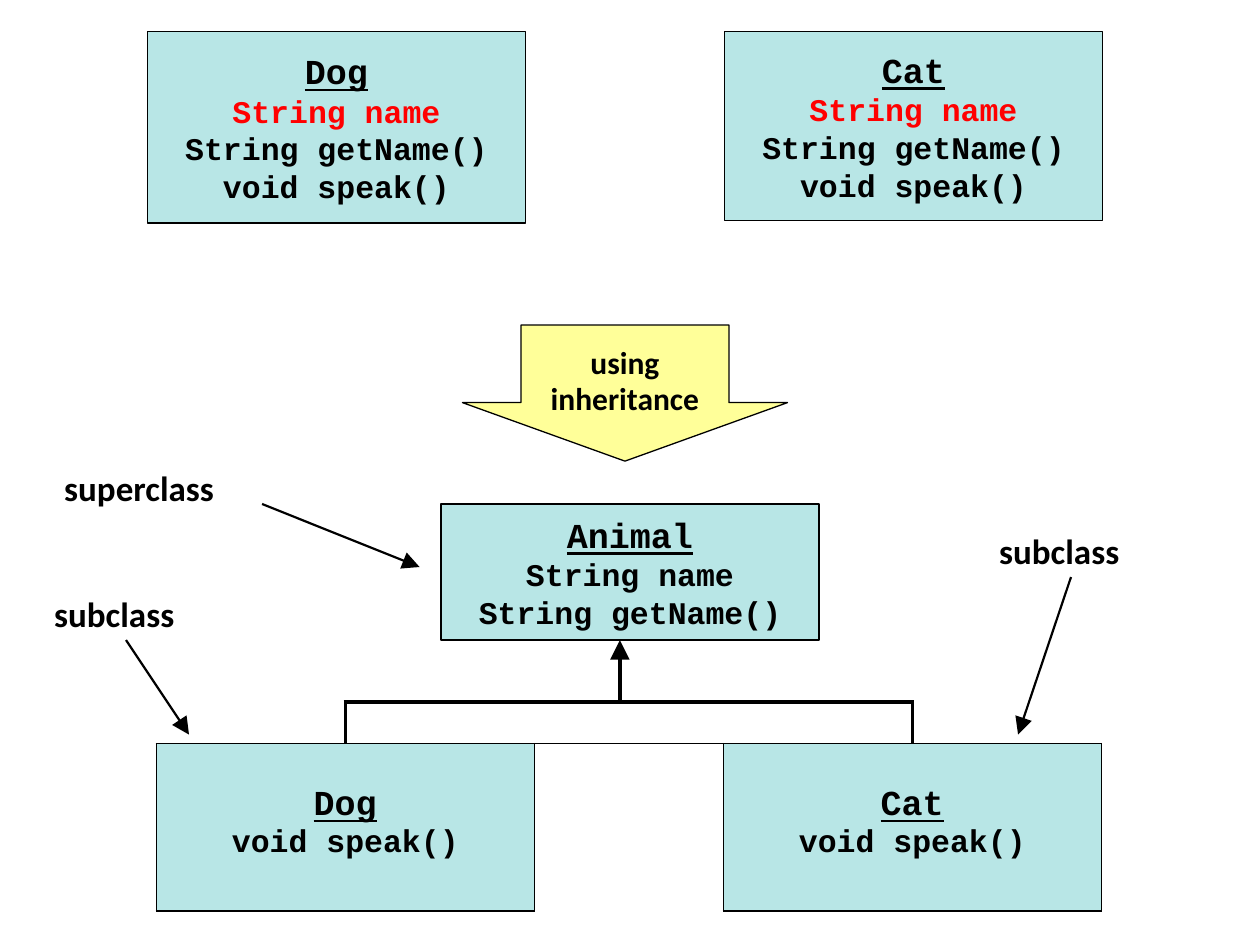
from lxml.etree import SubElement as Sub
from pptx import Presentation
from pptx.dml.color import RGBColor as RGB
from pptx.enum.shapes import MSO_CONNECTOR as CONN, MSO_SHAPE as SHAPE
from pptx.enum.text import MSO_ANCHOR as ANCHOR, PP_ALIGN as ALIGN
from pptx.oxml.ns import qn
from pptx.util import Inches, Pt

theme = {
    "ink": RGB(0, 0, 0),
    "alert": RGB(0xFF, 0, 0),
    "box": RGB(0xB8, 0xE6, 0xE6),
    "block": RGB(0xFF, 0xFF, 0x99),
    "thin": 0.75,
    "thick": 2.25,
    "head": {"name": "Courier New", "size": Pt(20), "bold": True, "underline": True},
    "code": {"name": "Courier New", "size": Pt(18), "bold": True, "underline": False},
    "label": {"name": "Calibri", "size": Pt(20), "bold": True},
    "note": {"name": "Calibri", "size": Pt(18), "bold": True},
}


def write(frame, lines, styles, align=ALIGN.CENTER, lead=None, red=None):
    for i, line in enumerate(lines):
        para = frame.paragraphs[0] if i == 0 else frame.add_paragraph()
        para.alignment = align
        para.line_spacing = lead
        run = para.add_run()
        run.text = line
        for key, value in theme[styles[min(i, len(styles) - 1)]].items():
            setattr(run.font, key, value)
        run.font.color.rgb = theme["alert"] if line == red else theme["ink"]


def place(shape, fill, top, anchor):
    shape.shadow.inherit = False
    shape.fill.solid()
    shape.fill.fore_color.rgb = theme[fill]
    shape.line.color.rgb = theme["ink"]
    shape.line.width = Pt(theme["thin"])
    form = {"margin_left": 0, "margin_right": 0, "margin_top": Inches(top),
            "margin_bottom": 0, "word_wrap": True, "vertical_anchor": anchor}
    for key, value in form.items():
        setattr(shape.text_frame, key, value)


deck = Presentation()
deck.slide_width, deck.slide_height = Inches(10), Inches(7.5)
slide = deck.slides.add_slide(deck.slide_layouts[6])
shapes = slide.shapes

name, getter, speak = "String name", "String getName()", "void speak()"
for left, top, high, lines, red in [
    (1.17, 0.25, 1.52, ["Dog", name, getter, speak], name),
    (5.75, 0.25, 1.5, ["Cat", name, getter, speak], name),
    (3.5, 4, 1.08, ["Animal", name, getter], None),
]:
    box = shapes.add_shape(SHAPE.RECTANGLE, Inches(left), Inches(top), Inches(3), Inches(high))
    place(box, "box", 0, ANCHOR.MIDDLE)
    write(box.text_frame, lines, ["head", "code"], red=red)

block = shapes.add_shape(SHAPE.DOWN_ARROW, Inches(3.67), Inches(2.58), Inches(2.58), Inches(1.08))
block.adjustments[0], block.adjustments[1] = 0.64, 0.43
place(block, "block", 0.16, ANCHOR.TOP)
write(block.text_frame, ["using", "inheritance"], ["note"], lead=Pt(20.5))

grid = shapes.add_table(2, 5, Inches(1.24), Inches(5.57), Inches(7.5), Inches(1.66)).table
grid.first_row = grid.horz_banding = False
grid.rows[0].height, grid.rows[1].height = Inches(0.33), Inches(1.33)
thin, thick = theme["thin"], theme["thick"]
bar = {"L": thick, "R": thick, "T": thick, "B": thin}
full = dict.fromkeys("LRTB", thin)
edges = [
    [{"R": thick, "B": thin}, bar, bar, bar, {"L": thick, "B": thin}],
    [full, full, {"L": thin, "R": thin, "T": thin}, full, full],
]
for r, row in enumerate(edges):
    for c, sides in enumerate(row):
        cell = grid.cell(r, c)
        cell.margin_left = cell.margin_right = cell.margin_top = cell.margin_bottom = 0
        props = cell._tc.get_or_add_tcPr()
        for side in "LRTB":
            line = Sub(props, qn("a:ln" + side), w=str(Pt(sides.get(side, 0))))
            if side in sides:
                Sub(Sub(line, qn("a:solidFill")), qn("a:srgbClr"), val=str(theme["ink"]))
            else:
                Sub(line, qn("a:noFill"))
        cell.fill.background()

grid.cell(0, 1).merge(grid.cell(0, 3))
for col, title in [(0, "Dog"), (3, "Cat")]:
    cell = grid.cell(1, col)
    cell.merge(grid.cell(1, col + 1))
    cell.margin_top = Inches(0.34)
    cell.fill.solid()
    cell.fill.fore_color.rgb = theme["box"]
    write(cell.text_frame, [title, speak], ["head", "code"])

for text, left, top, wide in [
    ("superclass", 0.5, 3.69, 1.22),
    ("subclass", 7.92, 4.19, 0.98),
    ("subclass", 0.42, 4.69, 0.98),
]:
    label = shapes.add_textbox(Inches(left), Inches(top), Inches(wide), Inches(0.36))
    frame = label.text_frame
    frame.word_wrap = True
    frame.margin_left = frame.margin_top = Inches(0.01)
    frame.margin_right = frame.margin_bottom = 0
    write(frame, [text], ["label"], ALIGN.LEFT)

for x1, y1, x2, y2, width in [
    (4.92, 5.57, 4.92, 5.08, thick),
    (2.08, 4, 3.33, 4.5, 1.25),
    (8.5, 4.58, 8.08, 5.83, 1.25),
    (1, 5.08, 1.5, 5.83, 1.25),
]:
    arrow = shapes.add_connector(CONN.STRAIGHT, Inches(x1), Inches(y1), Inches(x2), Inches(y2))
    arrow.line.color.rgb = theme["ink"]
    arrow.line.width = Pt(width)
    Sub(arrow.line._get_or_add_ln(), qn("a:tailEnd"), type="triangle", w="lg", len="lg")
    Sub(arrow._element.spPr, qn("a:effectLst"))

deck.save("out.pptx")
